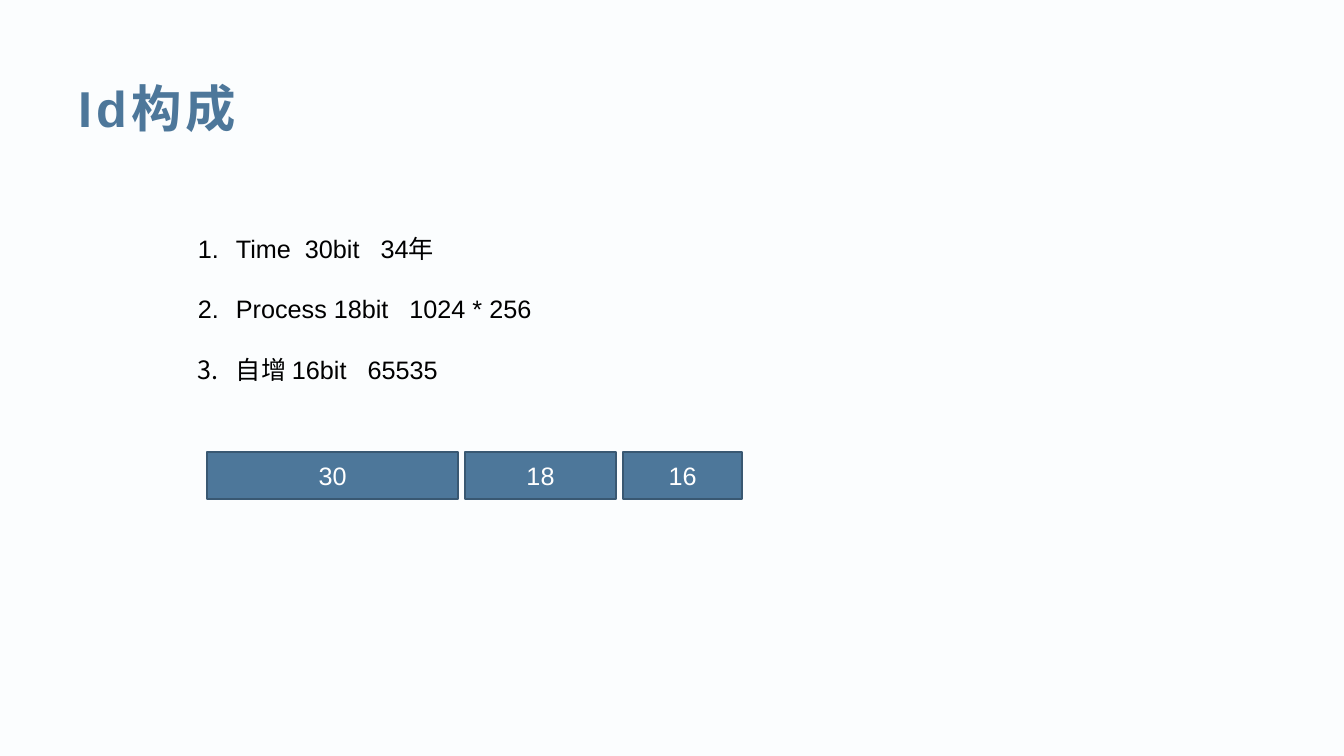
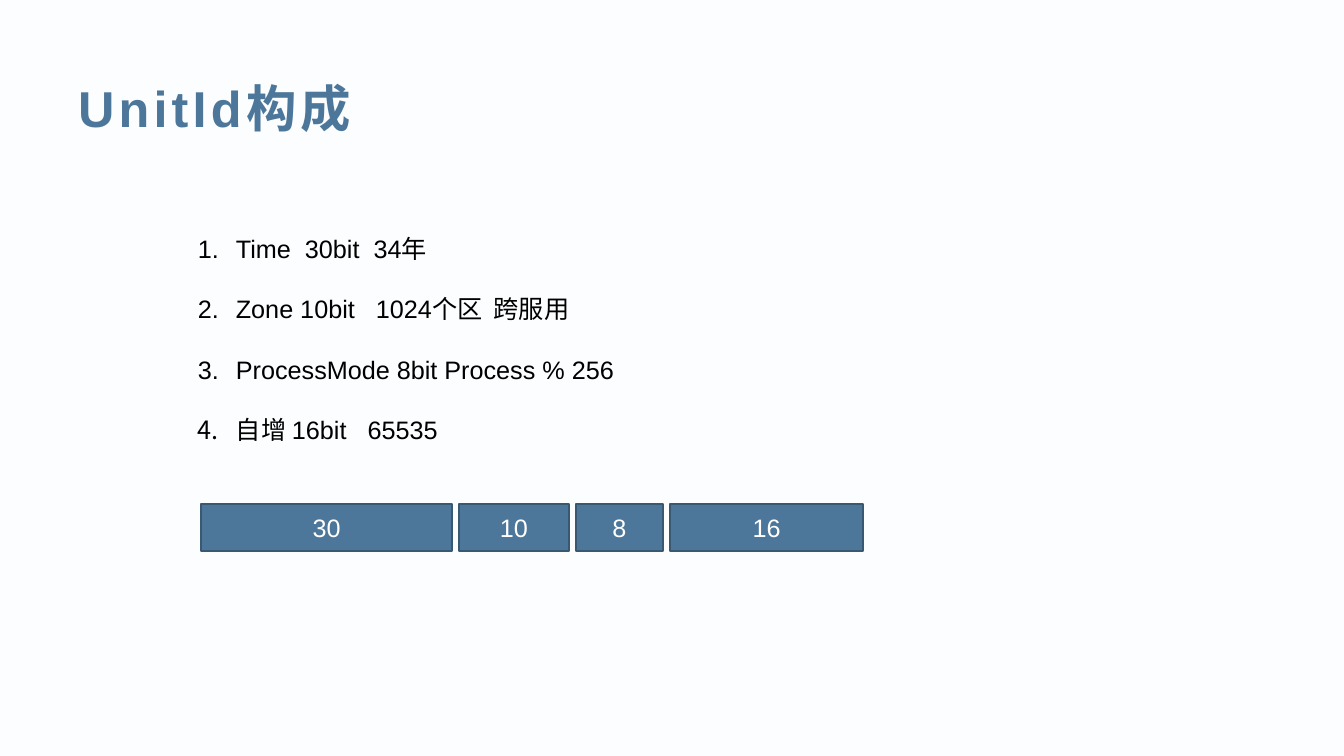
from dataclasses import dataclass

from lxml import etree
from pptx import Presentation
from pptx.dml.color import RGBColor
from pptx.enum.shapes import MSO_SHAPE
from pptx.enum.text import MSO_ANCHOR, MSO_AUTO_SIZE, PP_ALIGN
from pptx.oxml.ns import qn
from pptx.util import Emu, Pt

RECT = MSO_SHAPE.RECTANGLE
MIDDLE, TOP = MSO_ANCHOR.MIDDLE, MSO_ANCHOR.TOP
LEFT, CENTER = PP_ALIGN.LEFT, PP_ALIGN.CENTER
NO_FIT, GROW = MSO_AUTO_SIZE.NONE, MSO_AUTO_SIZE.SHAPE_TO_FIT_TEXT
TITLE_ONLY = 5


@dataclass(frozen=True)
class Theme:
    font: str = "Arial"
    background: RGBColor = RGBColor(0xFB, 0xFD, 0xFE)
    accent: RGBColor = RGBColor(0x4D, 0x77, 0x9A)
    outline: RGBColor = RGBColor(0x39, 0x58, 0x72)
    text: RGBColor = RGBColor(0x00, 0x00, 0x00)
    on_accent: RGBColor = RGBColor(0xFF, 0xFF, 0xFF)
    title_size: int = 36
    body_size: int = 18
    title_tracking: int = 300  # hundredths of a point


THEME = Theme()

# Layout in px
SLIDE_W, SLIDE_H = 1344, 756
TITLE_BOX = (68, 68, 1238, 78)
LIST_X, LIST_Y, LIST_W, LIST_ROW_H = 188, 198, 661, 60
LIST_INDENT = 38
FIELD_H, FIELD_GAP = 47, 7


def px(n):
    return Emu(round(n * 914400 / 100.8))


def format_runs(p, size, color, bold=False):
    for r in p.runs:
        r.font.name = THEME.font
        r.font.size = Pt(size)
        r.font.bold = bold
        r.font.color.rgb = color


def set_title(s, text):
    title = s.shapes.title
    title.left, title.top, title.width, title.height = map(px, TITLE_BOX)
    tf = title.text_frame
    tf.text = text
    tf.auto_size = NO_FIT
    tf.vertical_anchor = MIDDLE
    p = tf.paragraphs[0]
    p.alignment = LEFT
    format_runs(p, THEME.title_size, THEME.accent, bold=True)
    for r in p.runs:
        r.font._element.set("spc", str(THEME.title_tracking))


def number_paragraph(p):
    pPr = p._p.get_or_add_pPr()
    pPr.set("marL", str(px(LIST_INDENT)))
    pPr.set("indent", str(-px(LIST_INDENT)))
    etree.SubElement(pPr, qn("a:buFont")).set("typeface", THEME.font)
    etree.SubElement(pPr, qn("a:buAutoNum")).set("type", "arabicPeriod")


def add_numbered_list(s, items):
    height = LIST_ROW_H * len(items) + 12
    sp = s.shapes.add_textbox(px(LIST_X), px(LIST_Y), px(LIST_W), px(height))
    tf = sp.text_frame
    tf.text = "\n".join(items)
    tf.word_wrap = True
    tf.auto_size = GROW
    tf.vertical_anchor = TOP
    for p in tf.paragraphs:
        p.line_spacing = 2.0
        number_paragraph(p)
        format_runs(p, THEME.body_size, THEME.text)


def add_field(s, x, y, width, text):
    sp = s.shapes.add_shape(RECT, px(x), px(y), px(width), px(FIELD_H))
    sp.shadow.inherit = False
    sp.fill.solid()
    sp.fill.fore_color.rgb = THEME.accent
    sp.line.color.rgb = THEME.outline
    sp.line.width = Pt(1)
    tf = sp.text_frame
    tf.text = text
    tf.vertical_anchor = MIDDLE
    p = tf.paragraphs[0]
    p.alignment = CENTER
    format_runs(p, THEME.body_size, THEME.on_accent)


def add_bit_layout(s, x, y, fields):
    for bits, width in fields:
        add_field(s, x, y, width, str(bits))
        x += width + FIELD_GAP


def add_id_slide(prs, title, items, origin, fields):
    s = prs.slides.add_slide(prs.slide_layouts[TITLE_ONLY])
    set_title(s, title)
    add_numbered_list(s, items)
    add_bit_layout(s, *origin, fields)


def main():
    prs = Presentation()
    prs.slide_width, prs.slide_height = px(SLIDE_W), px(SLIDE_H)

    # Shared background
    fill = prs.slide_master.background.fill
    fill.solid()
    fill.fore_color.rgb = THEME.background

    # Id
    add_id_slide(
        prs,
        "Id构成",
        ["Time  30bit   34年", "Process 18bit   1024 * 256", "自增 16bit   65535"],
        origin=(207, 452),
        fields=[(30, 251), (18, 151), (16, 119)],
    )

    # UnitId
    add_id_slide(
        prs,
        "UnitId构成",
        [
            "Time  30bit  34年",
            "Zone 10bit   1024个区  跨服用",
            "ProcessMode 8bit Process % 256",
            "自增 16bit   65535",
        ],
        origin=(201, 504),
        fields=[(30, 251), (10, 110), (8, 87), (16, 193)],
    )

    prs.save("out.pptx")


if __name__ == "__main__":
    main()
